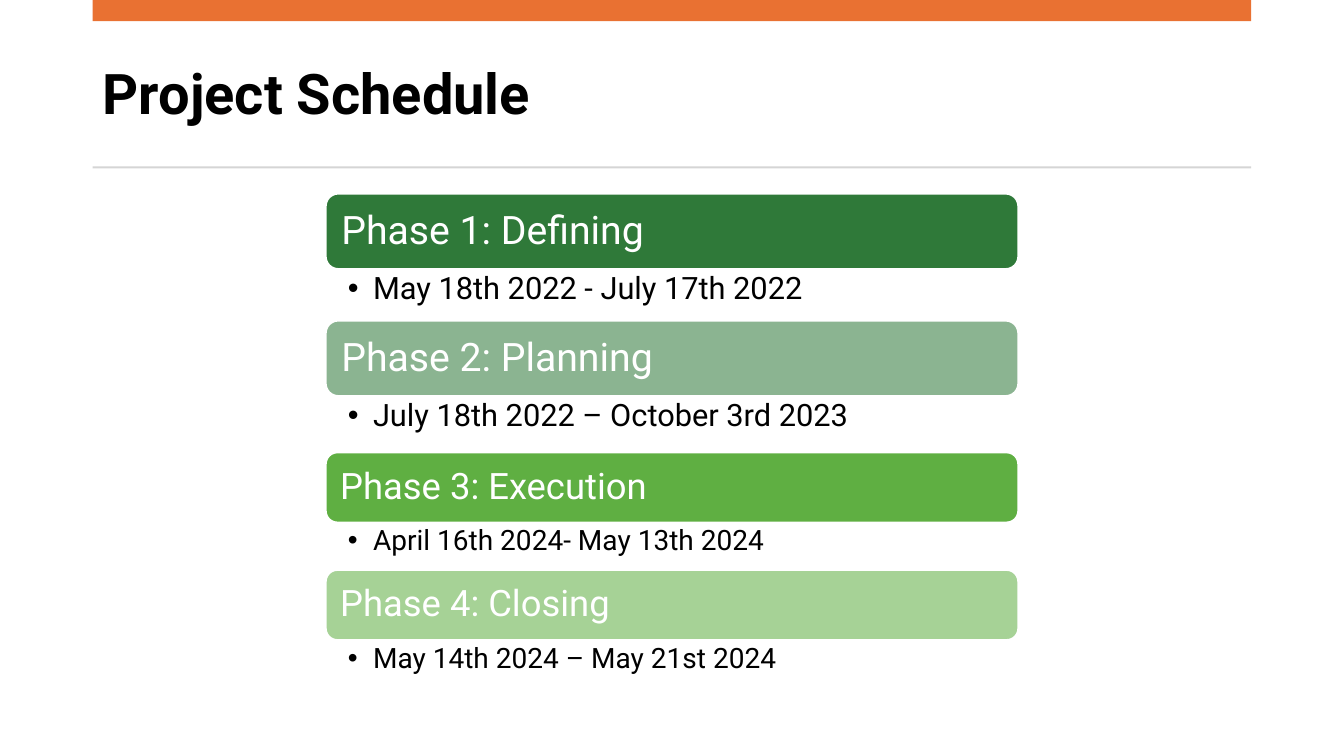
from lxml import etree
from pptx import Presentation
from pptx.dml.color import RGBColor
from pptx.enum.shapes import MSO_SHAPE
from pptx.enum.text import MSO_ANCHOR, MSO_AUTO_SIZE, PP_ALIGN
from pptx.oxml.ns import qn
from pptx.util import Inches, Pt

RECTANGLE = MSO_SHAPE.RECTANGLE
ROUNDED = MSO_SHAPE.ROUNDED_RECTANGLE
TOP, MIDDLE = MSO_ANCHOR.TOP, MSO_ANCHOR.MIDDLE
LEFT = PP_ALIGN.LEFT
NO_AUTOFIT = MSO_AUTO_SIZE.NONE
COMPARISON_LAYOUT = 4  # a title and four body placeholders

# Phase, dates, fill, opacity in percent
FIRST_PHASES = [
    ("Phase 1: Defining", "May 18th 2022 - July 17th 2022", "196B24", 90),
    ("Phase 2: Planning", "July 18th 2022 – October 3rd 2023", "196B24", 50),
]
LAST_PHASES = [
    ("Phase 3: Execution", "April 16th 2024- May 13th 2024", "4EA72E", 90),
    ("Phase 4: Closing", "May 14th 2024 – May 21st 2024", "4EA72E", 50),
]


def colour(value):
    return RGBColor.from_string(value)


class SchedulePage:
    """Places elements on a grid of 100 columns by 100 rows."""

    font = "Roboto"
    black, white = "000000", "FFFFFF"
    accent, rule = "E97132", "D5D5D5"
    page_left, page_width = 6.9, 86.2
    phase_left, phase_width = 24.23, 51.54

    def __init__(self, deck):
        self.deck = deck
        self.page = deck.slides.add_slide(deck.slide_layouts[COMPARISON_LAYOUT])
        bodies = [box for box in self.page.placeholders
                  if box.placeholder_format.idx > 0]
        self.bodies = iter(bodies)

    def grid(self, left, top, width, height):
        column, row = self.deck.slide_width / 100, self.deck.slide_height / 100
        return (round(left * column), round(top * row),
                round(width * column), round(height * row))

    def move(self, box, *cells):
        box.left, box.top, box.width, box.height = self.grid(*cells)

    def add_text(self, box, text, size, color=black, bold=False, anchor=MIDDLE,
                 side=0.1, edge=0.05, after=0):
        """Fill box with one paragraph; side and edge are insets in inches."""
        frame = box.text_frame
        frame.word_wrap = True
        frame.auto_size = NO_AUTOFIT
        frame.vertical_anchor = anchor
        frame.margin_left = frame.margin_right = Inches(side)
        frame.margin_top = frame.margin_bottom = Inches(edge)
        para = frame.paragraphs[0]
        para.alignment = LEFT
        para.line_spacing = 0.9
        para.space_before, para.space_after = Pt(0), Pt(after)
        span = para.add_run()
        span.text = text
        span.font.name = self.font
        span.font.size = Pt(size)
        span.font.bold = bold
        span.font.color.rgb = colour(color)
        return para

    def title(self, text):
        box = self.page.shapes.title
        self.move(box, self.page_left, 4.93, self.page_width, 15.73)
        self.add_text(box, text, 40, bold=True, after=6)

    def shape(self, kind, cells, fill):
        box = self.page.shapes.add_shape(kind, *self.grid(*cells))
        box.shadow.inherit = False
        box.fill.solid()
        box.fill.fore_color.rgb = colour(fill)
        box.line.fill.background()
        return box

    def band(self, top, height, fill):
        self.shape(RECTANGLE, (self.page_left, top, self.page_width, height), fill)

    def phase_bar(self, text, top, height, fill, opacity, size, inset):
        box = self.shape(
            ROUNDED, (self.phase_left, top, self.phase_width, height), fill)
        tint = box._element.spPr.find(qn("a:solidFill")).find(qn("a:srgbClr"))
        etree.SubElement(tint, qn("a:alpha"), val=str(opacity * 1000))
        box.line.color.rgb = colour(self.white)
        box.line.width = Pt(1.5)
        self.add_text(box, text, size, color=self.white, side=inset, edge=inset)

    def dates(self, text, top, height, size):
        box = next(self.bodies)
        self.move(box, self.phase_left, top, self.phase_width, height)
        para = self.add_text(box, text, size, anchor=TOP, side=0.22, edge=0.04)
        layout = para._p.get_or_add_pPr()
        layout.set("marL", str(Inches(0.25)))
        layout.set("indent", str(-Inches(0.25)))
        etree.SubElement(layout, qn("a:buFont"), typeface="Arial")
        etree.SubElement(layout, qn("a:buChar"), char="•")

    def phases(self, rows, top, bar_height, dates_height, label_size,
               dates_size, inset):
        """Stack bars, each followed by its dates, from top downwards."""
        for index, (label, dates, fill, opacity) in enumerate(rows):
            bar_top = top + index * (bar_height + dates_height)
            self.phase_bar(label, bar_top, bar_height, fill, opacity,
                           label_size, inset)
            self.dates(dates, bar_top + bar_height, dates_height, dates_size)


def main():
    deck = Presentation()
    deck.slide_width, deck.slide_height = Inches(13.33), Inches(7.5)
    schedule = SchedulePage(deck)
    schedule.title("Project Schedule")
    schedule.band(0, 2.8, schedule.accent)
    schedule.band(22, 0.27, schedule.rule)
    schedule.phases(FIRST_PHASES, top=25.6, bar_height=10, dates_height=6.8,
                    label_size=28, dates_size=22, inset=0.12)
    schedule.phases(LAST_PHASES, top=59.83, bar_height=9.3, dates_height=6.25,
                    label_size=26, dates_size=20, inset=0.11)
    deck.save("out.pptx")


if __name__ == "__main__":
    main()
